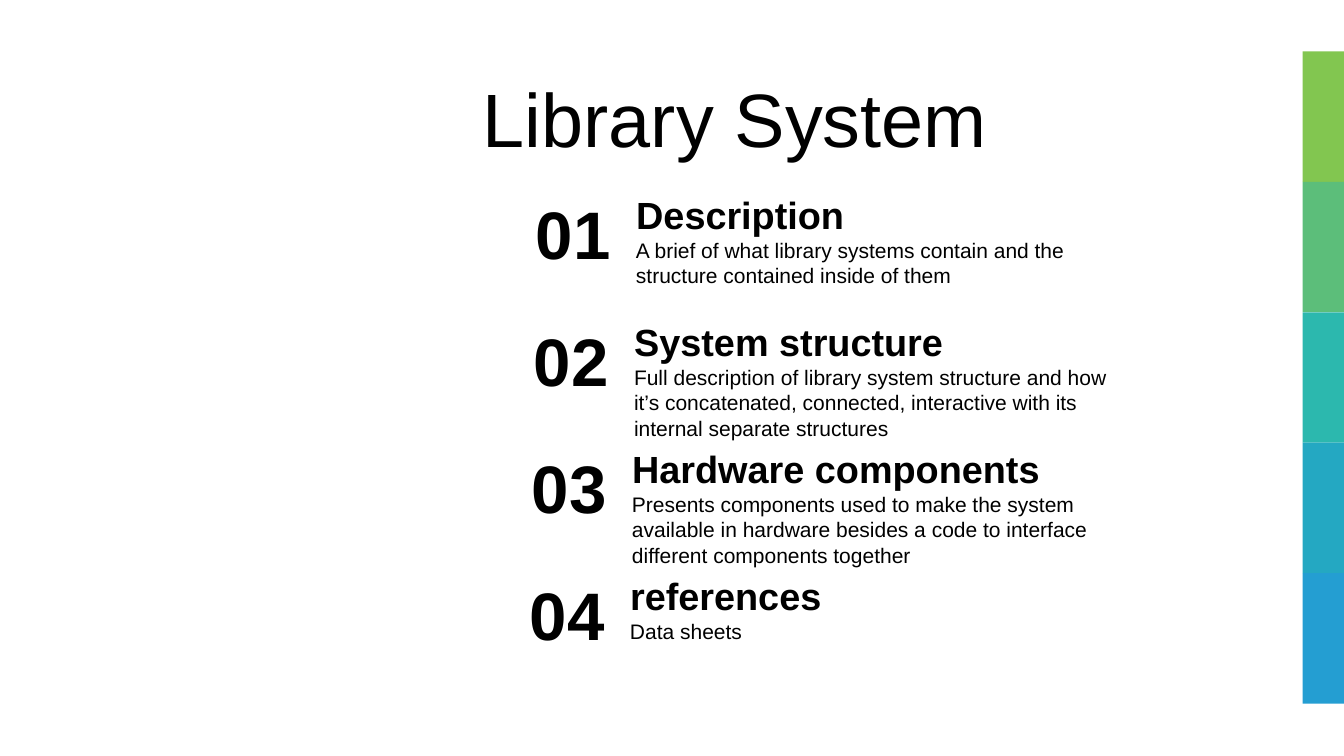
from dataclasses import dataclass

from lxml.etree import SubElement
from pptx import Presentation
from pptx.dml.color import RGBColor
from pptx.enum.shapes import MSO_SHAPE
from pptx.enum.text import MSO_ANCHOR, MSO_AUTO_SIZE, PP_ALIGN
from pptx.oxml.ns import qn
from pptx.shapes.autoshape import Shape
from pptx.slide import Slide
from pptx.util import Inches, Pt


@dataclass(frozen=True)
class Theme:
    font: str = "Arial"
    ink: str = "000000"
    panel: str = "FFFFFF"
    strip: tuple[str, ...] = ("82C650", "5CBE7A", "2CB8AE", "24A8C2", "249ED2")
    title_size: int = 54
    number_size: int = 48
    heading_size: int = 27
    body_size: int = 15


@dataclass(frozen=True)
class Box:
    left: float
    top: float
    width: float
    height: float


@dataclass(frozen=True)
class Topic:
    heading: str
    summary: str
    summary_height: float


THEME = Theme()
PANEL = Box(4.21, 0.51, 9.12, 6.47)
STRIP_WIDTH = 0.41
TOPIC_LEFT, TOPIC_TOP = 5.16, 1.85
TOPIC_SHIFT, TOPIC_PITCH = -0.02, 1.26
TOPICS = (
    Topic("Description", "A brief of what library systems contain and the "
          "structure contained inside of them", 0.61),
    Topic("System structure", "Full description of library system structure and how "
          "it’s concatenated, connected, interactive with its "
          "internal separate structures", 0.86),
    Topic("Hardware components", "Presents components used to make the system "
          "available in hardware besides a code to interface "
          "different components together", 0.86),
    Topic("references", "Data sheets", 0.35),
)


def add_block(slide: Slide, box: Box, color: str) -> Shape:
    block = slide.shapes.add_shape(
        MSO_SHAPE.RECTANGLE, Inches(box.left), Inches(box.top),
        Inches(box.width), Inches(box.height))
    block.shadow.inherit = False
    block.fill.solid()
    block.fill.fore_color.rgb = RGBColor.from_string(color)
    block.line.fill.background()
    return block


def add_label(slide: Slide, box: Box, text: str, size: int, bold: bool = False,
              align: PP_ALIGN = PP_ALIGN.LEFT, anchor: MSO_ANCHOR = MSO_ANCHOR.TOP,
              side_inset: float = 0.1) -> None:
    label = slide.shapes.add_textbox(
        Inches(box.left), Inches(box.top), Inches(box.width), Inches(box.height))
    frame = label.text_frame
    frame.word_wrap = True
    frame.auto_size = MSO_AUTO_SIZE.SHAPE_TO_FIT_TEXT
    frame.vertical_anchor = anchor
    frame.margin_left = frame.margin_right = Inches(side_inset)
    paragraph = frame.paragraphs[0]
    paragraph.alignment = align
    run = paragraph.add_run()
    run.text = text
    run.font.name = THEME.font
    run.font.size = Pt(size)
    run.font.bold = bold
    run.font.color.rgb = RGBColor.from_string(THEME.ink)


def add_panel(slide: Slide) -> None:
    panel = add_block(slide, PANEL, THEME.panel)
    color = panel.fill._xPr.find(qn("a:solidFill"))[0]
    SubElement(color, qn("a:alpha")).set("val", "88000")


def add_topic(slide: Slide, index: int, topic: Topic) -> None:
    left = TOPIC_LEFT + index * TOPIC_SHIFT
    top = TOPIC_TOP + index * TOPIC_PITCH
    add_label(slide, Box(left + 1.05, top + 0.46, 4.93, topic.summary_height),
              topic.summary, THEME.body_size)
    add_label(slide, Box(left + 1.03, top, 4.93, 0.56), topic.heading,
              THEME.heading_size, bold=True, side_inset=0.12)
    add_label(slide, Box(left, top + 0.01, 1.05, 0.91), f"{index + 1:02}",
              THEME.number_size, bold=True, align=PP_ALIGN.CENTER, side_inset=0.12)


def add_strip(slide: Slide) -> None:
    pitch = PANEL.height / len(THEME.strip)
    left = PANEL.left + PANEL.width - STRIP_WIDTH
    for index, color in enumerate(THEME.strip):
        add_block(slide, Box(left, PANEL.top + index * pitch, STRIP_WIDTH, pitch), color)


def main() -> None:
    deck = Presentation()
    deck.slide_width, deck.slide_height = Inches(13.33), Inches(7.5)
    slide = deck.slides.add_slide(deck.slide_layouts[6])
    add_panel(slide)
    add_label(slide, Box(4.69, 0.66, 6.77, 1.01), "Library System",
              THEME.title_size, anchor=MSO_ANCHOR.MIDDLE)
    for index, topic in enumerate(TOPICS):
        add_topic(slide, index, topic)
    add_strip(slide)
    deck.save("out.pptx")


if __name__ == "__main__":
    main()
